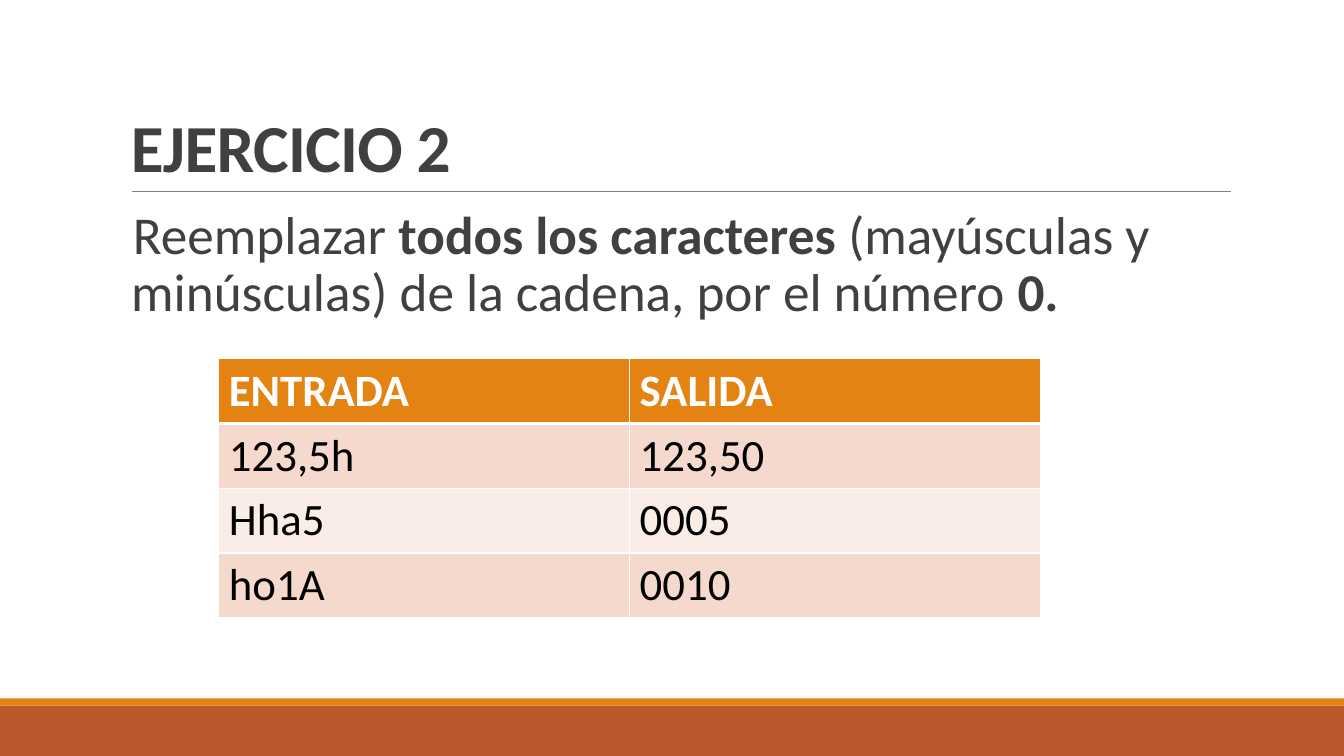
import pptx
import pptx.dml.color
import pptx.enum.shapes
import pptx.enum.text
import pptx.oxml
import pptx.oxml.ns
import pptx.util
from lxml import etree
from pptx.util import Inches, Pt

ORANGE, RUST, DARK = "E48312", "BD582C", "404040"
NS = 'xmlns:a="http://schemas.openxmlformats.org/drawingml/2006/main"'


def color(hex_value):
    """Return the RGB colour for a hex string."""
    return pptx.dml.color.RGBColor.from_string(hex_value)


def add_run(paragraph, text, size, hex_value, bold=False):
    """Append a formatted Calibri run and return it."""
    run = paragraph.add_run()
    run.text = text
    run.font.name = "Calibri"
    run.font.size = Pt(size)
    run.font.bold = bold
    run.font.color.rgb = color(hex_value)
    return run


deck = pptx.Presentation()
deck.slide_width, deck.slide_height = Inches(13.33), Inches(7.5)
slide = deck.slides.add_slide(deck.slide_layouts[6])
shapes = slide.shapes

# Footer bands
for top, height, fill in ((7, 0.5, RUST), (6.93, 0.07, ORANGE)):
    band = shapes.add_shape(pptx.enum.shapes.MSO_SHAPE.RECTANGLE,
                            0, Inches(top), deck.slide_width, Inches(height))
    band.shadow.inherit = False
    band.fill.solid()
    band.fill.fore_color.rgb = color(fill)
    band.line.fill.background()

# Rule under the heading
rule = shapes.add_connector(pptx.enum.shapes.MSO_CONNECTOR.STRAIGHT,
                            Inches(1.31), Inches(1.9), Inches(12.21), Inches(1.9))
rule.line.color.rgb = color("808080")
rule.line.width = Pt(0.5)
etree.SubElement(rule._element.spPr, pptx.oxml.ns.qn("a:effectLst"))

# Heading
heading = shapes.add_textbox(Inches(1.2), Inches(0.31), Inches(11), Inches(1.59)).text_frame
heading.word_wrap = True
heading.vertical_anchor = pptx.enum.text.MSO_ANCHOR.BOTTOM
heading.paragraphs[0].line_spacing = 0.85
heading_run = add_run(heading.paragraphs[0], "EJERCICIO 2", 48, DARK, True)
heading_run.font._element.set("spc", "-50")

# Task statement
statement = shapes.add_textbox(Inches(1.2), Inches(2.02), Inches(11), Inches(4.4)).text_frame
statement.word_wrap = True
statement.margin_left = statement.margin_right = 0
task = statement.paragraphs[0]
task.line_spacing = 0.9
task.space_before, task.space_after = Pt(12), Pt(2)
task_format = task._p.get_or_add_pPr()
task_format.set("marL", str(Inches(0.1)))
task_format.set("indent", str(Inches(-0.1)))
for bullet in (f'<a:buClr {NS}><a:srgbClr val="{ORANGE}"/></a:buClr>',
               f'<a:buFont {NS} typeface="Calibri"/>',
               f'<a:buChar {NS} char=" "/>'):
    task_format.append(pptx.oxml.parse_xml(bullet))
for text, bold in (("Reemplazar ", False),
                   ("todos los caracteres ", True),
                   ("(mayúsculas y minúsculas) de la cadena, por el número ", False),
                   ("0.", True)):
    add_run(task, text, 38, DARK, bold)

# Input and output examples
examples = (("ENTRADA", "SALIDA"), ("123,5h", "123,50"), ("Hha5", "0005"), ("ho1A", "0010"))
row_fills = (ORANGE, "F5D9CC", "FAEDE7", "F5D9CC")
grid = shapes.add_table(4, 2, Inches(2.17), Inches(3.56), Inches(8.15), Inches(2.57)).table
for row, (values, fill) in enumerate(zip(examples, row_fills)):
    is_header = row == 0
    for column, value in enumerate(values):
        cell = grid.cell(row, column)
        add_run(cell.text_frame.paragraphs[0], value, 32,
                "FFFFFF" if is_header else "000000", is_header)
        cell_format = cell._tc.get_or_add_tcPr()
        for side in "LRTB":
            thick = (row, side) in ((0, "B"), (1, "T"))
            cell_format.append(pptx.oxml.parse_xml(
                f'<a:ln{side} {NS} w="{Pt(3 if thick else 1)}"><a:solidFill>'
                f'<a:srgbClr val="FFFFFF"/></a:solidFill></a:ln{side}>'))
        cell.fill.solid()
        cell.fill.fore_color.rgb = color(fill)

deck.save("out.pptx")
